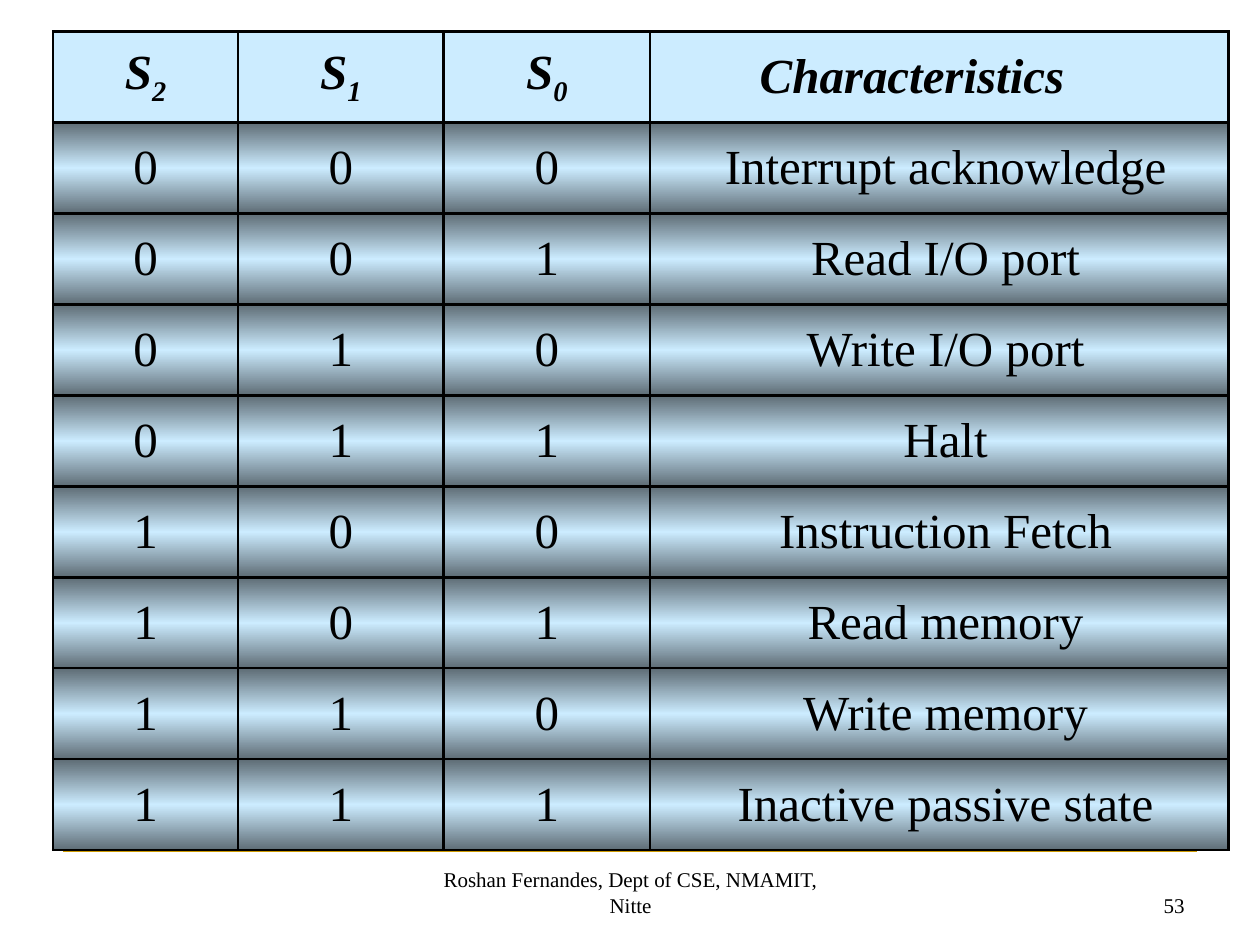
import copy
import pptx
import pptx.dml.color
import pptx.enum.shapes
import pptx.enum.text
import pptx.oxml
import pptx.oxml.ns
import pptx.util
from pptx.util import Inches

BLACK = pptx.dml.color.RGBColor(0x00, 0x00, 0x00)
SKY = pptx.dml.color.RGBColor(0xCC, 0xEC, 0xFF)
SLATE = pptx.dml.color.RGBColor(0x5E, 0x6C, 0x75)
GOLD = pptx.dml.color.RGBColor(0xCC, 0x99, 0x00)
ALIGN = pptx.enum.text.PP_ALIGN
ANCHOR = pptx.enum.text.MSO_ANCHOR
STATES = [
    "Interrupt acknowledge", "Read I/O port", "Write I/O port", "Halt",
    "Instruction Fetch", "Read memory", "Write memory", "Inactive passive state",
]


def style(para, size, align, bold=False):
    para.alignment = align
    font = para.font
    font.name = "Times New Roman"
    font.size = pptx.util.Pt(size)
    font.color.rgb = BLACK
    font.bold = font.italic = bold


def border(cell):
    props = cell._tc.get_or_add_tcPr()
    for i, side in enumerate("LRTB"):
        props.insert(i, pptx.oxml.parse_xml(
            f'<a:ln{side} {pptx.oxml.ns.nsdecls("a")} w="{pptx.util.Pt(1.5)}">'
            f'<a:solidFill><a:srgbClr val="{BLACK}"/></a:solidFill></a:ln{side}>'))


deck = pptx.Presentation()
deck.slide_width = Inches(10)
deck.slide_height = Inches(7.5)
slide = deck.slides.add_slide(deck.slide_layouts[6])

form = slide.shapes.build_freeform(Inches(0.42), Inches(0.92))
form.add_line_segments(
    [(Inches(0.42), Inches(0.25)), (Inches(9.42), Inches(0.25))], close=False)
edge = form.convert_to_shape()
edge.shadow.inherit = False
edge.fill.background()
rule = slide.shapes.add_connector(
    pptx.enum.shapes.MSO_CONNECTOR.STRAIGHT,
    Inches(0.5), Inches(6.75), Inches(9.5), Inches(6.75))
rule._element.spPr.append(pptx.oxml.parse_xml(
    f'<a:effectLst {pptx.oxml.ns.nsdecls("a")}/>'))
for item in (edge, rule):
    item.line.color.rgb = GOLD
    item.line.width = pptx.util.Pt(1.5)

rows = [["S2", "S1", "S0", "Characteristics"]]
rows += [[*f"{n:03b}", state] for n, state in enumerate(STATES)]
table = slide.shapes.add_table(
    len(rows), 4, Inches(0.42), Inches(0.25), Inches(9.33), Inches(6.5)).table
table.first_row = table.horz_banding = False
for col, width in zip(table.columns, [1.47, 1.63, 1.64, 4.59]):
    col.width = Inches(width)

for r, row in enumerate(rows):
    for c, text in enumerate(row):
        cell = table.cell(r, c)
        cell.vertical_anchor = ANCHOR.MIDDLE
        para = cell.text_frame.paragraphs[0]
        head = r == 0
        left = head and c == 3
        if c == 3:
            cell.margin_left = Inches(0.87 if head else 0.2)
        if head and c < 3:
            para.add_run().text = text[0]
            sub = para.add_run()
            sub.text = text[1]
            sub._r.get_or_add_rPr().set("baseline", "-25000")
        else:
            para.add_run().text = text
        style(para, 28, ALIGN.LEFT if left else ALIGN.CENTER, head)
        if head:
            cell.fill.solid()
            cell.fill.fore_color.rgb = SKY
        else:
            cell.fill.gradient()
            cell.fill.gradient_angle = 90
            stops = cell._tc.tcPr.find(".//" + pptx.oxml.ns.qn("a:gsLst"))
            stops.append(copy.deepcopy(stops[-1]))
            for i, stop in enumerate(cell.fill.gradient_stops):
                stop.position = i / 2
                stop.color.rgb = SKY if i == 1 else SLATE
        border(cell)

for x, width, text, align in [
    (3.42, 3.17, "Roshan Fernandes, Dept of CSE, NMAMIT, Nitte", ALIGN.CENTER),
    (7.17, 2.33, "53", ALIGN.RIGHT),
]:
    box = slide.shapes.add_textbox(Inches(x), Inches(6.83), Inches(width), Inches(0.5))
    frame = box.text_frame
    frame.word_wrap = True
    frame.vertical_anchor = ANCHOR.BOTTOM
    frame.text = text
    style(frame.paragraphs[0], 12, align)

deck.save("out.pptx")
